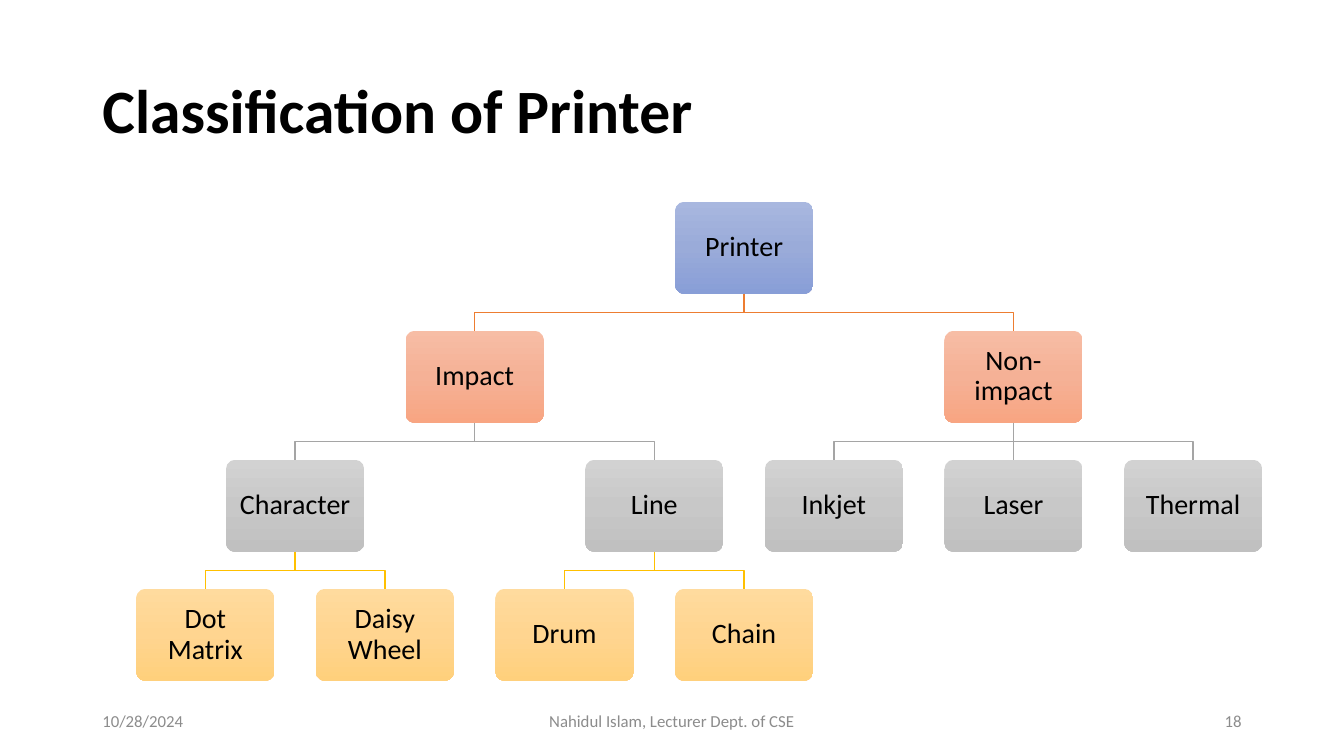
import copy
import pptx
import pptx.util
import pptx.dml.color
import pptx.enum.shapes
import pptx.enum.text
import pptx.oxml.ns
from lxml import etree

Pt = pptx.util.Pt
Align = pptx.enum.text.PP_ALIGN
Mid = pptx.enum.text.MSO_ANCHOR.MIDDLE
Round = pptx.enum.shapes.MSO_SHAPE.ROUNDED_RECTANGLE
Line = pptx.enum.shapes.MSO_CONNECTOR.STRAIGHT
qn = pptx.oxml.ns.qn

# Colours: three gradient stops for each level, and the lines leading to it
hues = {
    "text": "000000", "foot": "8C8C8C",
    "fill0": ["A8B7DF", "9AABD9", "889ED7"],
    "fill1": ["F7BDA5", "F5B196", "F8A582"],
    "fill2": ["D2D2D2", "C8C8C8", "C0C0C0"],
    "fill3": ["FFDB9E", "FFD590", "FFD07C"],
    "line1": "ED7D31", "line2": "A5A5A5", "line3": "FFC000",
}


def rgb(code):
    return pptx.dml.color.RGBColor.from_string(code)


def style(frame, size, hue, align, bold=False):
    frame.word_wrap = True
    frame.vertical_anchor = Mid
    para = frame.paragraphs[0]
    para.alignment = align
    font = para.runs[0].font
    font.name, font.size, font.bold = "Calibri", Pt(size), bold
    font.color.rgb = rgb(hues[hue])


deck = pptx.Presentation()
deck.slide_width, deck.slide_height = Pt(960), Pt(540)
slide = deck.slides.add_slide(deck.slide_layouts[5])
shapes = slide.shapes

# Title
title = shapes.title
title.left, title.top, title.width, title.height = Pt(66), Pt(28.75), Pt(828), Pt(104.4)
title.text_frame.text = "Classification of Printer"
style(title.text_frame, 44, "text", Align.LEFT, True)
title.text_frame.paragraphs[0].line_spacing = 0.9

# Tree: name, parent, level, column
tree = [
    ("Printer", None, 0, 3),
    ("Impact", "Printer", 1, 1.5),
    ("Non-impact", "Printer", 1, 4.5),
    ("Character", "Impact", 2, 0.5),
    ("Line", "Impact", 2, 2.5),
    ("Inkjet", "Non-impact", 2, 3.5),
    ("Laser", "Non-impact", 2, 4.5),
    ("Thermal", "Non-impact", 2, 5.5),
    ("Dot Matrix", "Character", 3, 0),
    ("Daisy Wheel", "Character", 3, 1),
    ("Drum", "Line", 3, 2),
    ("Chain", "Line", 3, 3),
]
left, top = 97.3, 144.1
step, pitch = 128.3, 92.15
wide, high = 98.7, 65.8
gap = pitch - high
boxes, spots = {}, {}

for name, parent, level, col in tree:
    # Box
    x, y = left + col * step, top + level * pitch
    box = shapes.add_shape(Round, Pt(x), Pt(y), Pt(wide), Pt(high))
    box.adjustments[0] = 0.1
    box.shadow.inherit = False
    box.line.fill.background()
    box.fill.gradient()
    box.fill.gradient_angle = 270
    first = box._element.spPr.find(".//" + qn("a:gs"))
    first.addnext(copy.deepcopy(first))
    stops = box.fill.gradient_stops
    for stop, place, hue in zip(stops, (0, 0.5, 1), hues[f"fill{level}"]):
        stop.position = place
        stop.color.rgb = rgb(hue)

    # Label
    frame = box.text_frame
    frame.text = name
    frame.margin_left = frame.margin_right = Pt(5.76)
    frame.margin_top = frame.margin_bottom = Pt(5.76)
    style(frame, 20, "text", Align.CENTER)
    frame.paragraphs[0].line_spacing = 0.9
    mid = x + wide / 2
    boxes[name], spots[name] = box, mid
    if parent is None:
        continue

    # Branch from the parent
    start = spots[parent]
    if start == mid:
        link = shapes.add_connector(Line, Pt(mid), Pt(y - gap), Pt(mid), Pt(y))
        link.begin_connect(boxes[parent], 2)
        link.end_connect(box, 0)
        etree.SubElement(link._element.spPr, qn("a:effectLst"))
    else:
        path = shapes.build_freeform(Pt(start), Pt(y - gap))
        bend = y - gap / 2
        turns = [(start, bend), (mid, bend), (mid, y)]
        path.add_line_segments([(Pt(a), Pt(b)) for a, b in turns], close=False)
        link = path.convert_to_shape()
        link.fill.background()
        link.shadow.inherit = False
    link.line.color.rgb = rgb(hues[f"line{level}"])
    link.line.width = Pt(1)

# Footer
for x, w, words, align in [
    (66, 216, "10/28/2024", Align.LEFT),
    (318, 324, "Nahidul Islam, Lecturer Dept. of CSE", Align.CENTER),
    (678, 216, "18", Align.RIGHT),
]:
    note = shapes.add_textbox(Pt(x), Pt(500.5), Pt(w), Pt(28.75))
    note.text_frame.text = words
    style(note.text_frame, 12, "foot", align)

deck.save("out.pptx")
